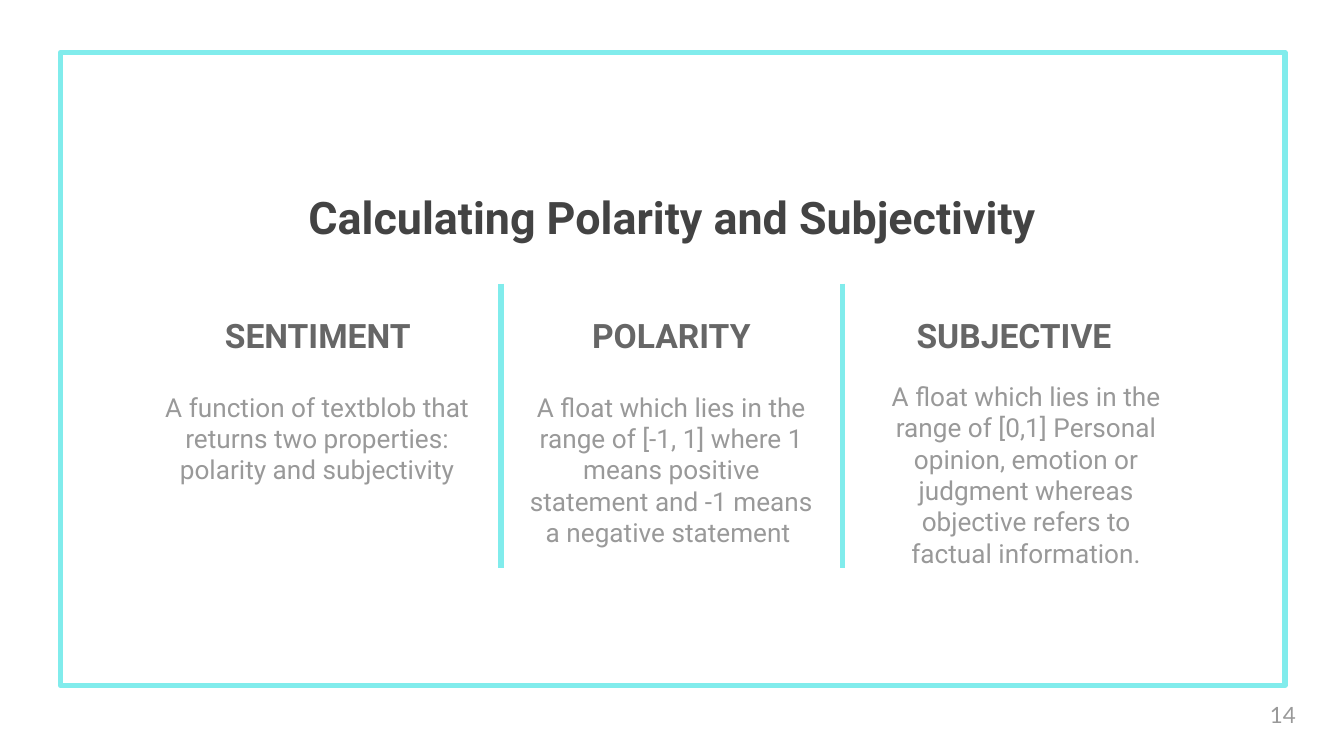
import pptx
import pptx.util
import pptx.dml.color
import pptx.enum.shapes
import pptx.enum.text
import pptx.oxml.ns
import lxml.etree

SLIDE_WIDTH = pptx.util.Inches(10)
SLIDE_HEIGHT = SLIDE_WIDTH * 9 // 16
GRID_COLUMNS = 100
CELL = SLIDE_WIDTH // GRID_COLUMNS

TURQUOISE = "81ECEC"
CENTER = pptx.enum.text.PP_ALIGN.CENTER
LEFT = pptx.enum.text.PP_ALIGN.LEFT
TOP = pptx.enum.text.MSO_ANCHOR.TOP
MIDDLE = pptx.enum.text.MSO_ANCHOR.MIDDLE
BOTTOM = pptx.enum.text.MSO_ANCHOR.BOTTOM

HEADING_ROWS = 7.1
BODY_ROWS = 17
COLUMNS = [
    ((12.1, 20.3, 23.1), "SENTIMENT", (-0.9, 7.8, 24.8),
     "A function of textblob that returns two properties: polarity and subjectivity"),
    ((38.4, 20.3, 23.1), "POLARITY", (0, 7.8, 23.1),
     "A float which lies in the range of [-1, 1] where 1 means positive statement "
     "and -1 means a negative statement "),
    ((63.9, 20.3, 23.1), "SUBJECTIVE", (0.9, 7, 23.1),
     "A float which lies in the range of [0,1] Personal opinion, emotion or judgment "
     "whereas objective refers to factual information."),
]


def color(value):
    return pptx.dml.color.RGBColor.from_string(value)


def cells(lengths):
    return [round(length * CELL) for length in lengths]


def outline(line):
    line.color.rgb = color(TURQUOISE)
    line.width = pptx.util.Pt(3)


def write(box, text, size, shade, bold=False, anchor=TOP, align=CENTER, font="Roboto"):
    frame = box.text_frame
    frame.word_wrap = True
    frame.auto_size = pptx.enum.text.MSO_AUTO_SIZE.NONE
    frame.vertical_anchor = anchor
    margin = pptx.util.Inches(0.1)
    frame.margin_left = frame.margin_right = margin
    frame.margin_top = frame.margin_bottom = margin
    frame.text = text
    para = frame.paragraphs[0]
    para.alignment = align
    para.font.name = font
    para.font.size = pptx.util.Pt(size)
    para.font.bold = bold
    para.font.color.rgb = color(shade)


def add_text(page, area, *content, **style):
    write(page.shapes.add_textbox(*cells(area)), *content, **style)


def add_frame(page, area):
    frame = page.shapes.add_shape(
        pptx.enum.shapes.MSO_SHAPE.RECTANGLE, *cells(area))
    frame.shadow.inherit = False
    frame.fill.background()
    outline(frame.line)
    stroke = frame.element.spPr.find(pptx.oxml.ns.qn("a:ln"))
    lxml.etree.SubElement(stroke, pptx.oxml.ns.qn("a:round"))


def add_title(page, area):
    title = page.shapes.title
    title.left, title.top, title.width, title.height = cells(area)
    write(title, "Calculating Polarity and Subjectivity", 24, "434343", bold=True)


def add_divider(page, x, top, bottom):
    divider = page.shapes.add_connector(
        pptx.enum.shapes.MSO_CONNECTOR.STRAIGHT, *cells((x, top, x, bottom)))
    outline(divider.line)
    lxml.etree.SubElement(divider.element.spPr, pptx.oxml.ns.qn("a:effectLst"))


def add_column(page, area, heading, body_area, body):
    left, top, width = area
    shift, drop, body_width = body_area
    add_text(page, (left, top, width, HEADING_ROWS), heading, 18, "666666",
             bold=True, anchor=BOTTOM)
    add_text(page, (left + shift, top + drop, body_width, BODY_ROWS), body, 14, "999999")


def add_page_number(page, area):
    add_text(page, area, "14", 12, "999999", anchor=MIDDLE, align=LEFT, font="Lato")


def main():
    deck = pptx.Presentation()
    deck.slide_width, deck.slide_height = SLIDE_WIDTH, SLIDE_HEIGHT
    page = deck.slides.add_slide(deck.slide_layouts.get_by_name("Title Only"))
    add_frame(page, (4.5, 3.9, 91.1, 47.1))
    add_title(page, (0, 13.1, GRID_COLUMNS, 5.3))
    for x in (37.3, 62.7):
        add_divider(page, x, 21.1, 42.3)
    for column in COLUMNS:
        add_column(page, *column)
    add_page_number(page, (93.5, 51, 6, 4.3))
    deck.save("out.pptx")


if __name__ == "__main__":
    main()
